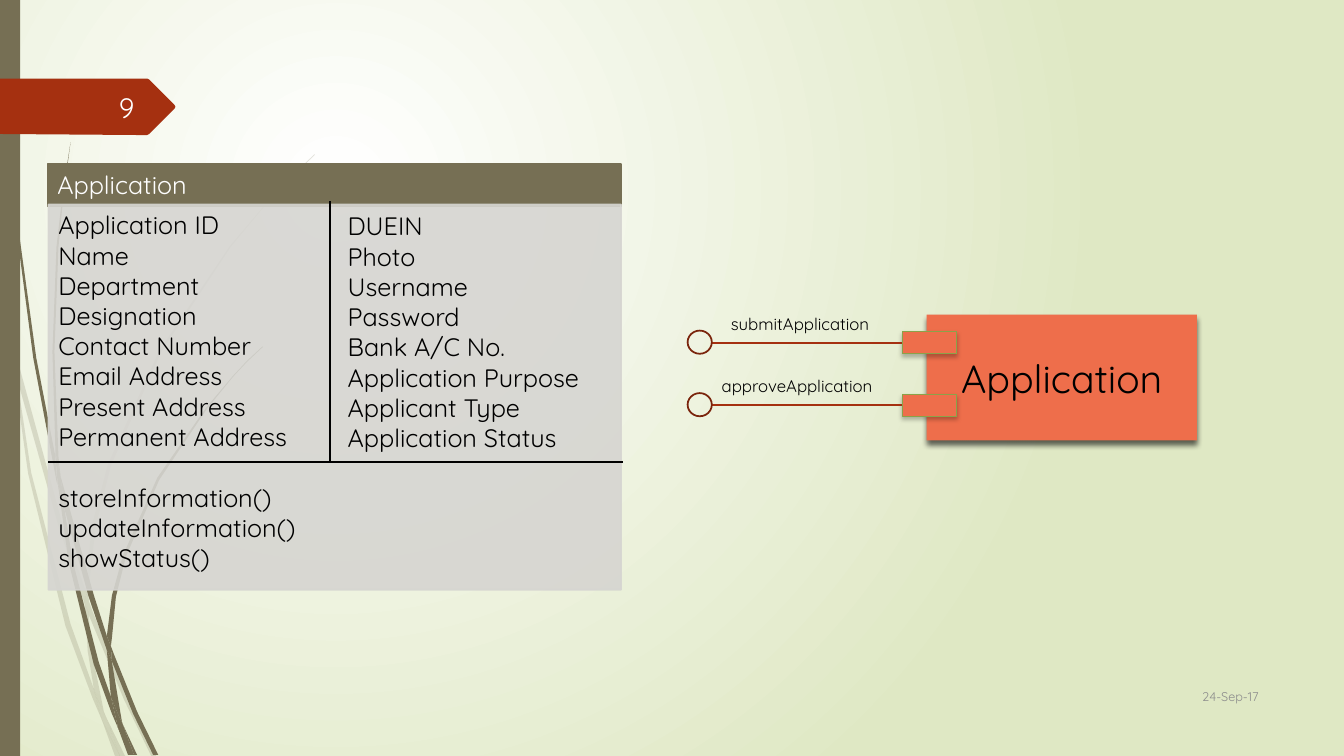
import pptx
import pptx.dml.color
import pptx.enum.shapes
import pptx.enum.text
import pptx.oxml
import pptx.oxml.ns
import pptx.util

Inches, Pt, qn = pptx.util.Inches, pptx.util.Pt, pptx.oxml.ns.qn
SHAPE = pptx.enum.shapes.MSO_SHAPE
ALIGN = pptx.enum.text.PP_ALIGN
ANCHOR = pptx.enum.text.MSO_ANCHOR

# Content
CLASS_NAME = "Application"
LEFT_FIELDS = ["Application ID", "Name", "Department", "Designation", "Contact Number",
               "Email Address", "Present Address", "Permanent Address"]
RIGHT_FIELDS = ["DUEIN", "Photo", "Username", "Password", "Bank A/C No.",
                "Application Purpose", "Applicant Type", "Application Status"]
METHODS = ["storeInformation()", "updateInformation()", "showStatus()"]
INTERFACES = [("submitApplication", 7.15, 1.72), ("approveApplication", 7.06, 1.89)]
PAGE_NUMBER, DATE = "9", "24-Sep-17"

THEME = {
    "font": "Quicksand",
    "olive": "766F54", "rust": "A53010", "dark_rust": "7A240C", "coral": "EE6E4B",
    "green": "8BA249", "grey": "D6D5D1", "date": "8C8C8C", "black": "000000",
    "white": "FFFFFF", "glow": "DFE8C4",
    "date_size": 9, "label_size": 12, "body_size": 18, "page_size": 20, "component_size": 28,
}

# Outlines of the grass blades, in inches
PALE_BLADES = [
    [(0.11, 3.5), (0.09, 3.22), (0, 2.82), (0, 2.99), (0.1, 3.44)],
    [(0.58, 5.22), (0.84, 5.99), (0.85, 5.86), (0.62, 5.2), (0.14, 3.45), (0.17, 3.76)],
    [(0.92, 6.07), (0.88, 5.96), (0.88, 6.1), (1.23, 6.94), (1.5, 7.5), (1.55, 7.5),
     (1.27, 6.92)],
    [(1.19, 7.5), (1.24, 7.5), (1.05, 7.11)],
    [(0.93, 6.83), (0.7, 6.19), (0.31, 4.69), (0.17, 3.76), (0.11, 3.5), (0.28, 4.7),
     (0.65, 6.21), (0.92, 6.93), (1.01, 7.14), (0.99, 7.07)],
    [(0.84, 5.99), (0.87, 6.46), (0.93, 6.83), (0.96, 6.92), (1.05, 7.11), (1.03, 7.06),
     (0.91, 6.46), (0.88, 6.1), (0.88, 6.08)],
    [(0.88, 5.84), (0.95, 5.22), (1.1, 4.62), (1.6, 3.49), (2.29, 2.45), (2.68, 1.98),
     (2.9, 1.75), (3.12, 1.54), (3.12, 1.53), (2.89, 1.75), (2.68, 1.97), (2.28, 2.44),
     (1.58, 3.48), (1.07, 4.61), (0.91, 5.22), (0.85, 5.84), (0.85, 5.86), (0.88, 5.96)],
    [(1.01, 7.14), (1.14, 7.5), (1.19, 7.5)],
    [(0.88, 6.08), (0.88, 6.1), (0.88, 5.96), (0.85, 5.86), (0.84, 5.99)],
    [(0.96, 6.92), (0.93, 6.83), (0.99, 7.07), (1.01, 7.14), (1.19, 7.5), (1.05, 7.11)],
]
DARK_BLADES = [
    [(0.07, 1.1), (0.17, 2.33), (0.33, 3.55), (0.56, 4.77), (0.57, 4.81), (0.55, 4.57),
     (0.55, 4.53), (0.36, 3.55), (0.19, 2.32), (0.08, 1.09), (0.05, 0.48), (0.04, 0),
     (0.03, 0), (0.04, 0.48)],
    [(0.88, 5.92), (1.06, 6.45), (1.06, 6.31), (0.93, 5.9), (0.6, 4.72), (0.64, 5.05)],
    [(1.13, 6.49), (1.1, 6.41), (1.11, 6.56), (1.32, 7.08), (1.52, 7.49), (1.57, 7.49),
     (1.36, 7.06)],
    [(1.1, 6.91), (0.98, 6.57), (0.72, 5.56), (0.64, 5.05), (0.57, 4.77), (0.68, 5.57),
     (0.93, 6.59), (1.11, 7.08), (1.17, 7.22), (1.16, 7.17)],
    [(0.6, 4.72), (0.58, 4.53), (0.54, 3.49), (0.58, 2.45), (0.63, 1.93), (0.7, 1.41),
     (0.62, 1.93), (0.56, 2.45), (0.52, 3.49), (0.55, 4.49)],
    [(1.33, 7.49), (1.36, 7.49), (1.22, 7.19)],
    [(0.57, 4.77), (0.64, 5.05), (0.6, 4.72), (0.55, 4.49), (0.55, 4.53)],
    [(1.11, 6.33), (1.15, 5.92), (1.25, 5.52), (1.58, 4.76), (2.05, 4.06), (2.31, 3.74),
     (2.45, 3.59), (2.61, 3.44), (2.6, 3.44), (2.45, 3.58), (2.31, 3.73), (2.04, 4.05),
     (1.56, 4.74), (1.22, 5.51), (1.11, 5.91), (1.06, 6.31), (1.1, 6.41)],
    [(1.17, 7.22), (1.27, 7.49), (1.31, 7.49)],
    [(1.06, 6.45), (1.1, 6.91), (1.16, 7.06), (1.22, 7.19), (1.21, 7.16), (1.11, 6.56),
     (1.09, 6.51)],
    [(1.06, 6.45), (1.09, 6.51), (1.11, 6.56), (1.1, 6.41), (1.06, 6.31)],
    [(1.16, 7.06), (1.1, 6.91), (1.16, 7.17), (1.17, 7.22), (1.3, 7.49), (1.33, 7.49),
     (1.22, 7.19)],
]
PAGE_TAG = [(0, 0.78), (1.46, 0.78), (1.48, 0.79), (1.73, 1.04), (1.74, 1.06),
            (1.73, 1.08), (1.48, 1.33), (1.46, 1.34), (1.36, 1.34), (0, 1.33)]

presentation = pptx.Presentation()
presentation.slide_width, presentation.slide_height = Inches(13.33), Inches(7.5)
slide = presentation.slides.add_slide(presentation.slide_layouts[6])
shapes = slide.shapes


def colour(name):
    return pptx.dml.color.RGBColor.from_string(THEME[name])


def add_xml(parent, tag, **attributes):
    child = pptx.oxml.parse_xml(f'<{tag} {pptx.oxml.ns.nsdecls("a")}/>')
    for key, value in attributes.items():
        child.set(key, str(value))
    parent.append(child)
    return child


def paint(shape, fill=None, line=None, width=1.25, opacity=100, shadow=None):
    shape.shadow.inherit = False
    for target, name in ((shape.fill, fill), (shape.line.fill, line)):
        if name:
            target.solid()
            target.fore_color.rgb = colour(name)
        else:
            target.background()
    if line:
        shape.line.width = Pt(width)
    properties = shape._element.spPr
    if opacity < 100:
        for tint in properties.iter(qn("a:srgbClr")):
            add_xml(tint, "a:alpha", val=opacity * 1000)
    if shadow:
        alpha, blur, distance = shadow
        outer = add_xml(properties.find(qn("a:effectLst")), "a:outerShdw", blurRad=Pt(blur),
                        dist=Pt(distance), dir=5400000, algn="ctr", rotWithShape=0)
        add_xml(add_xml(outer, "a:srgbClr", val=THEME["black"]), "a:alpha", val=alpha * 1000)


def add_box(kind, box, **style):
    shape = shapes.add_shape(kind, *map(Inches, box))
    paint(shape, **style)
    return shape


def add_outline(points, **style):
    corners = [(Inches(x), Inches(y)) for x, y in points]
    builder = shapes.build_freeform(*corners[0], scale=1.0)
    builder.add_line_segments(corners[1:], close=True)
    paint(builder.convert_to_shape(), **style)


def add_line(start, end, name):
    line = shapes.add_connector(pptx.enum.shapes.MSO_CONNECTOR.STRAIGHT,
                                *map(Inches, (*start, *end)))
    line.line.color.rgb = colour(name)
    line.line.width = Pt(1.25)
    add_xml(line._element.spPr, "a:effectLst")


def write(shape, lines, size, name="black", align=ALIGN.LEFT, anchor=ANCHOR.TOP, gaps=None):
    frame = shape.text_frame
    frame.word_wrap, frame.vertical_anchor = True, anchor
    font_format = {"name": THEME["font"], "size": Pt(THEME[size])}
    for index, text in enumerate(lines):
        paragraph = frame.add_paragraph() if index else frame.paragraphs[0]
        paragraph.alignment = align
        if gaps and index in gaps:
            paragraph.space_before = Pt(gaps[index])
        run = paragraph.add_run()
        run.text = text
        for key, value in font_format.items():
            setattr(run.font, key, value)
        run.font.color.rgb = colour(name)


def add_text(box, lines, size, **style):
    write(shapes.add_textbox(*map(Inches, box)), lines, size, **style)


# Background glow
background = slide.background.fill
background.gradient()
for stop, name, position in zip(background.gradient_stops, ("white", "glow"), (0, 1)):
    stop.color.rgb, stop.position = colour(name), position
gradient = next(slide._element.iter(qn("a:gradFill")))
gradient.remove(gradient.find(qn("a:lin")))
add_xml(add_xml(gradient, "a:path", path="circle"), "a:fillToRect",
        l=50000, t=50000, r=100000, b=100000)

# Grass, side bar and page tag
for blades, opacity in ((PALE_BLADES, 20), (DARK_BLADES, 100)):
    for blade in blades:
        add_outline(blade, fill="olive", opacity=opacity)
add_box(SHAPE.RECTANGLE, (0, 0, 0.2, 7.5), fill="olive")
add_outline(PAGE_TAG, fill="rust")
footer = {"align": ALIGN.RIGHT, "anchor": ANCHOR.MIDDLE}
add_text((11.33, 6.7, 1.25, 0.41), [DATE], "date_size", name="date", **footer)
add_text((0.58, 0.86, 0.85, 0.4), [PAGE_NUMBER], "page_size", name="white", **footer)

# Component with its interfaces
component = add_box(SHAPE.RECTANGLE, (9.19, 3.12, 2.68, 1.25), fill="coral", shadow=(60, 4, 3))
write(component, [CLASS_NAME], "component_size", align=ALIGN.CENTER, anchor=ANCHOR.MIDDLE)
for row, (label, left, width) in enumerate(INTERFACES):
    middle = 3.4 + 0.62 * row
    add_box(SHAPE.RECTANGLE, (8.95, middle - 0.11, 0.54, 0.22), fill="coral", line="green",
            width=0.75, shadow=(25, 3, 2))
    add_line((8.95, middle), (7.06, middle), "rust")
    add_box(SHAPE.OVAL, (6.82, middle - 0.12, 0.24, 0.23), line="dark_rust")
    add_text((left, middle - 0.34, width, 0.3), [label], "label_size")

# Class box
header = add_box(SHAPE.RECTANGLE, (0.47, 1.63, 5.69, 0.42), fill="olive", line="olive")
write(header, [CLASS_NAME], "body_size", name="white")
body = add_box(SHAPE.RECTANGLE, (0.48, 2.03, 5.68, 3.82), fill="grey", line="grey", opacity=90)
write(body, LEFT_FIELDS + METHODS, "body_size", gaps={len(LEFT_FIELDS): 22})
add_line((0.48, 4.58), (6.18, 4.58), "black")
add_line((3.27, 4.57), (3.27, 1.99), "black")
add_text((3.35, 2.04, 2.83, 2.52), RIGHT_FIELDS, "body_size")

presentation.save("out.pptx")
